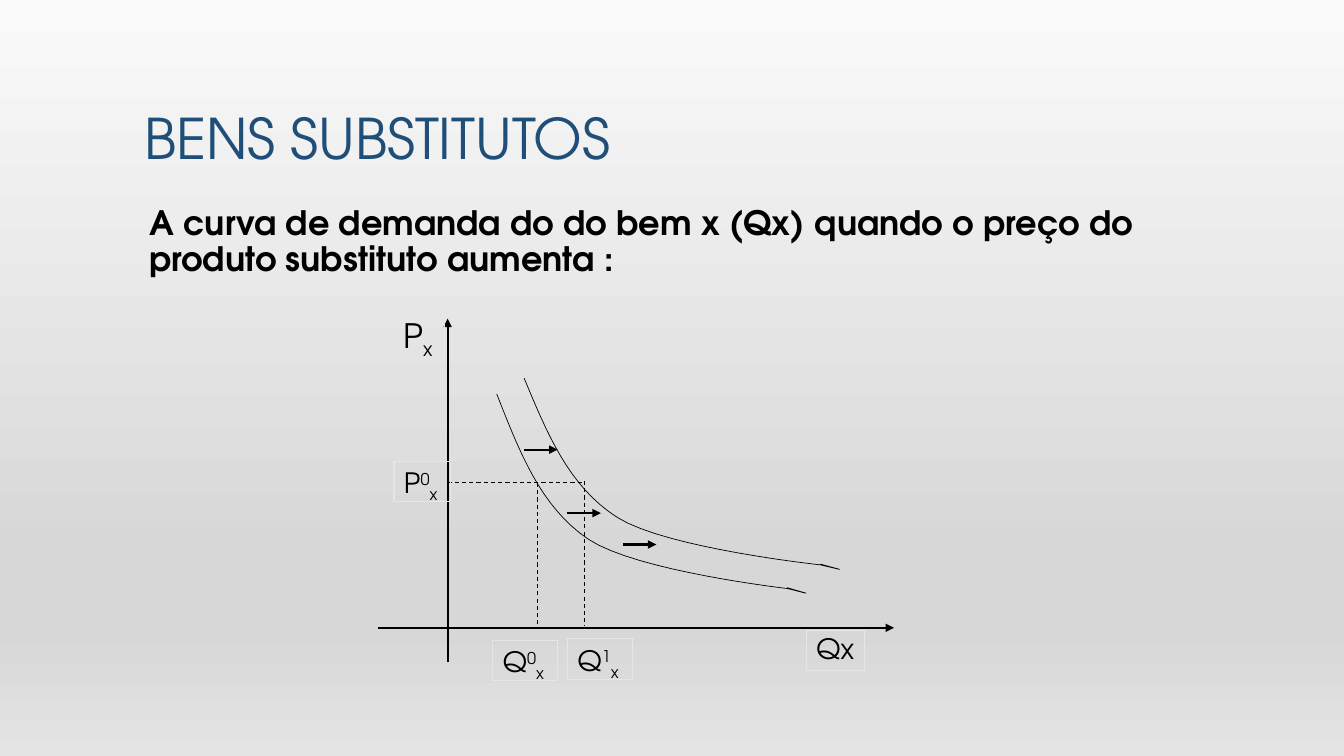
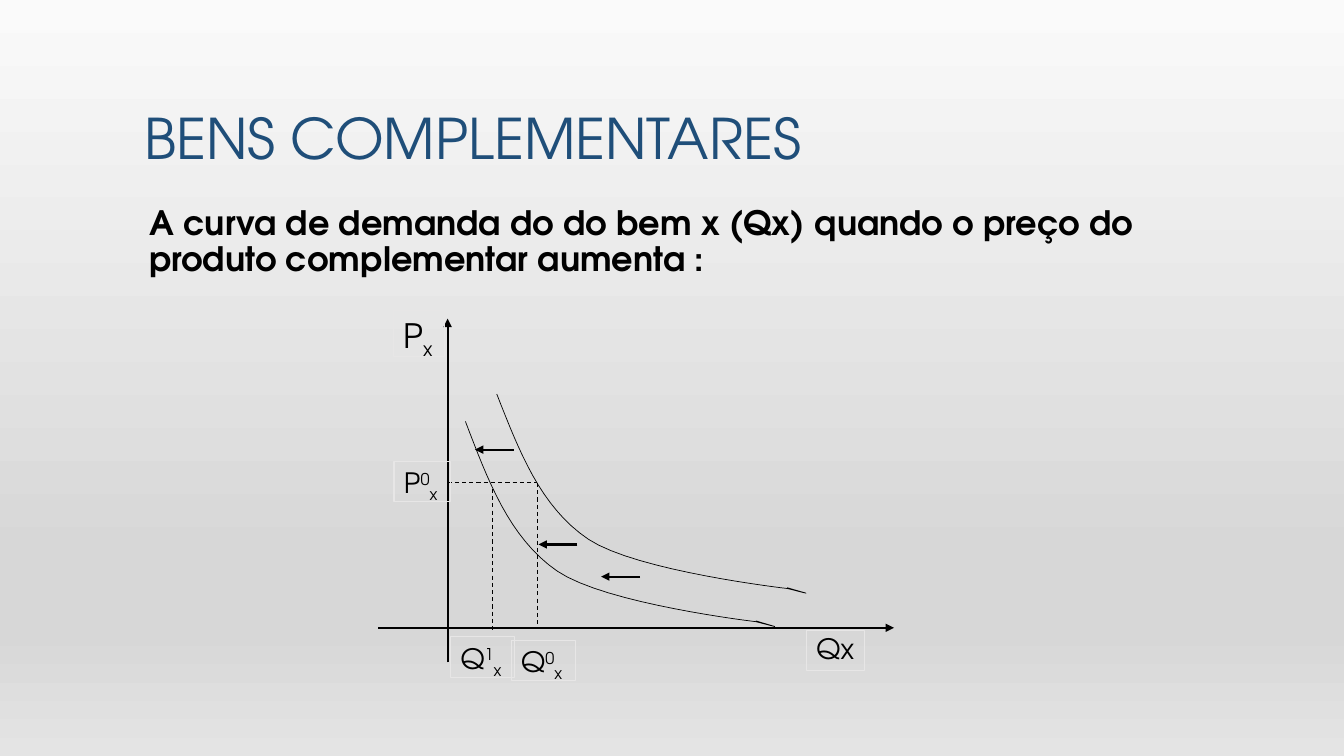
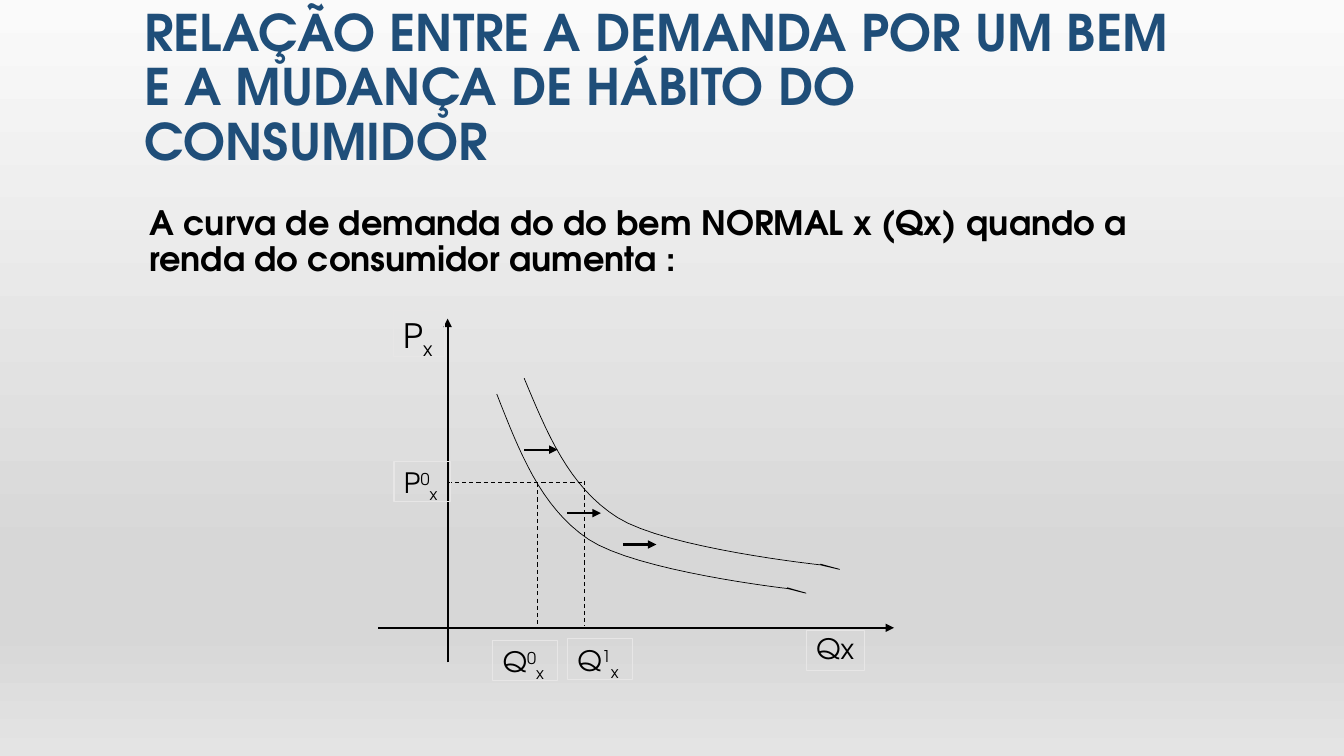
"""Build three slides on how a demand curve shifts, each with a title, a statement and a diagram."""
import copy

import lxml.etree
import pptx
import pptx.dml.color
import pptx.enum.dml
import pptx.enum.shapes
import pptx.enum.text
import pptx.oxml.ns
import pptx.util

Cm = pptx.util.Cm
Pt = pptx.util.Pt
qn = pptx.oxml.ns.qn
hex_colour = pptx.dml.color.RGBColor.from_string

FONT = "TeX Gyre Adventor"
BLUE, BLACK, PALE = "1F4E79", "000000", "E7E6E6"
BACKDROP = [(0, "FAFAFA"), (0.74, "D7D7D7"), (0.83, "D7D7D7"), (1, "E4E4E4")]
RAISED, LOWERED = 30, -25

AXIS_X, AXIS_Y = 11.28, 15.82
PRICE_Y, FIRST_QUANTITY_X = 12.17, 13.54
FIRST_CURVE = (12.52, 9.93, 1, 1)
CURVE_SEGMENTS = [
    [(0, 0), (0.56, 1.42), (1.09, 2.84), (2.31, 3.66)],
    [(2.31, 3.66), (3.53, 4.47), (7.32, 4.9), (7.32, 4.9)],
    [(7.32, 4.9), (8.15, 5.11), (7.72, 5), (7.32, 4.88)],
]
CURVE_STEPS = 16

RIGHT_SHIFT = {
    "curve": (13.21, 9.53, 1.02, 0.96),
    "price_end": 14.72,
    "quantity": (14.72, 12.12, 15.77),
    "arrows": [(13.21, 11.33), (14.3, 12.93), (15.7, 13.72)],
    "arrow_length": 0.84,
    "first_label": (12.42, 16.13),
    "second_label": (14.3, 16.1),
}
LEFT_SHIFT = {
    "curve": (11.73, 10.62, 1, 1.03),
    "price_end": FIRST_QUANTITY_X,
    "quantity": (12.41, 12.32, 15.93),
    "arrows": [(12.95, 11.33), (14.55, 13.72), (16.13, 14.53)],
    "arrow_length": -0.98,
    "first_label": (12.88, 16.13),
    "second_label": (11.35, 16.05),
}

SLIDES = [
    ("BENS SUBSTITUTOS", 40, False,
     "A curva de demanda do do bem x (Qx) quando o preço do produto substituto aumenta :",
     RIGHT_SHIFT),
    ("BENS COMPLEMENTARES", 40, False,
     "A curva de demanda do do bem x (Qx) quando o preço do produto complementar aumenta :",
     LEFT_SHIFT),
    ("RELAÇÃO ENTRE A DEMANDA POR UM BEM E A MUDANÇA DE HÁBITO DO CONSUMIDOR", 36, True,
     "A curva de demanda do do bem NORMAL x (Qx) quando a renda do consumidor aumenta :",
     RIGHT_SHIFT),
]


def write(page, spans, left, top, width, height, size=20, bold=False, colour=BLACK,
          anchor="TOP", inset=0.25, framed=False):
    """Add a text box; spans are (text, baseline percent) pairs."""
    box = page.shapes.add_textbox(Cm(left), Cm(top), Cm(width), Cm(height))
    frame = box.text_frame
    frame.word_wrap = not framed
    frame.margin_left = Cm(inset)
    frame.vertical_anchor = pptx.enum.text.MSO_ANCHOR[anchor]
    if framed:
        frame.auto_size = pptx.enum.text.MSO_AUTO_SIZE.SHAPE_TO_FIT_TEXT
        box.line.color.rgb = hex_colour(PALE)
        box.line.width = Pt(0.75)
    para = frame.paragraphs[0]
    para.line_spacing = 0.9
    for text, baseline in spans:
        span = para.add_run()
        span.text = text
        span.font.name = FONT
        span.font.size = Pt(size)
        span.font.bold = bold
        span.font.color.rgb = hex_colour(colour)
        if baseline:
            span._r.get_or_add_rPr().set("baseline", str(baseline * 1000))


def draw_line(page, start, end, dashed=False):
    """Add a thin dashed guide or a solid arrow."""
    line = page.shapes.add_connector(
        pptx.enum.shapes.MSO_CONNECTOR.STRAIGHT, *map(Cm, start + end))
    line.line.color.rgb = hex_colour(BLACK)
    line.line.width = Pt(0.75 if dashed else 1.5)
    properties = line._element.spPr
    if dashed:
        line.line.dash_style = pptx.enum.dml.MSO_LINE.DASH
    else:
        lxml.etree.SubElement(properties.find(qn("a:ln")), qn("a:tailEnd"), type="triangle")
    lxml.etree.SubElement(properties, qn("a:effectLst"))


deck = pptx.Presentation()
deck.slide_width, deck.slide_height = Cm(33.87), Cm(19.05)

backdrop = deck.slide_master.background.fill
backdrop.gradient()
backdrop.gradient_angle = 270
stop_list = deck.slide_master._element.find(".//" + qn("a:gsLst"))
for extra in range(len(BACKDROP) - len(stop_list)):
    stop_list.append(copy.deepcopy(stop_list[0]))
for stop, (position, colour) in zip(backdrop.gradient_stops, BACKDROP):
    stop.position = position
    stop.color.rgb = hex_colour(colour)

for title, title_size, title_bold, statement, shift in SLIDES:
    page = deck.slides.add_slide(deck.slide_layouts[6])
    write(page, [(title, 0)], 3.38, 0.76, 27.1, 3.68, size=title_size, bold=title_bold,
          colour=BLUE, anchor="BOTTOM")
    write(page, [(statement, 0)], 3.38, 5.08, 27.1, 2.2, size=24, bold=True, inset=0.38)

    draw_line(page, (AXIS_X, 16.69), (AXIS_X, 8.03))
    draw_line(page, (9.53, AXIS_Y), (22.53, AXIS_Y))

    for left, top, scale_x, scale_y in (FIRST_CURVE, shift["curve"]):
        points = []
        for a, b, c, d in CURVE_SEGMENTS:
            for step in range(1, CURVE_STEPS + 1):
                t = step / CURVE_STEPS
                x, y = [(1 - t) ** 3 * p + 3 * t * (1 - t) ** 2 * q
                        + 3 * t ** 2 * (1 - t) * r + t ** 3 * s
                        for p, q, r, s in zip(a, b, c, d)]
                points.append((Cm(left + x * scale_x), Cm(top + y * scale_y)))
        builder = page.shapes.build_freeform(Cm(left), Cm(top))
        builder.add_line_segments(points, close=False)
        curve = builder.convert_to_shape()
        curve.shadow.inherit = False
        curve.fill.background()
        curve.line.color.rgb = hex_colour(BLACK)
        curve.line.width = Pt(0.5)

    quantity_x, quantity_top, quantity_bottom = shift["quantity"]
    draw_line(page, (AXIS_X, PRICE_Y), (shift["price_end"], PRICE_Y), dashed=True)
    draw_line(page, (FIRST_QUANTITY_X, PRICE_Y), (FIRST_QUANTITY_X, AXIS_Y), dashed=True)
    draw_line(page, (quantity_x, quantity_top), (quantity_x, quantity_bottom), dashed=True)
    for x, y in shift["arrows"]:
        draw_line(page, (x, y), (x + shift["arrow_length"], y))

    write(page, [("P", 0), ("x", LOWERED)], 9.91, 7.82, 1.3, 1.17, size=24, framed=True)
    write(page, [("Qx", 0)], 20.32, 15.88, 1.47, 1.02, framed=True)
    write(page, [("P", 0), ("0", RAISED), ("x", LOWERED)], 9.93, 11.63, 1.42, 1.02, framed=True)
    for number, label in (("0", "first_label"), ("1", "second_label")):
        write(page, [("Q", 0), (number, RAISED), ("x", LOWERED)], *shift[label], 1.63, 1.02,
              framed=True)

deck.save("out.pptx")
